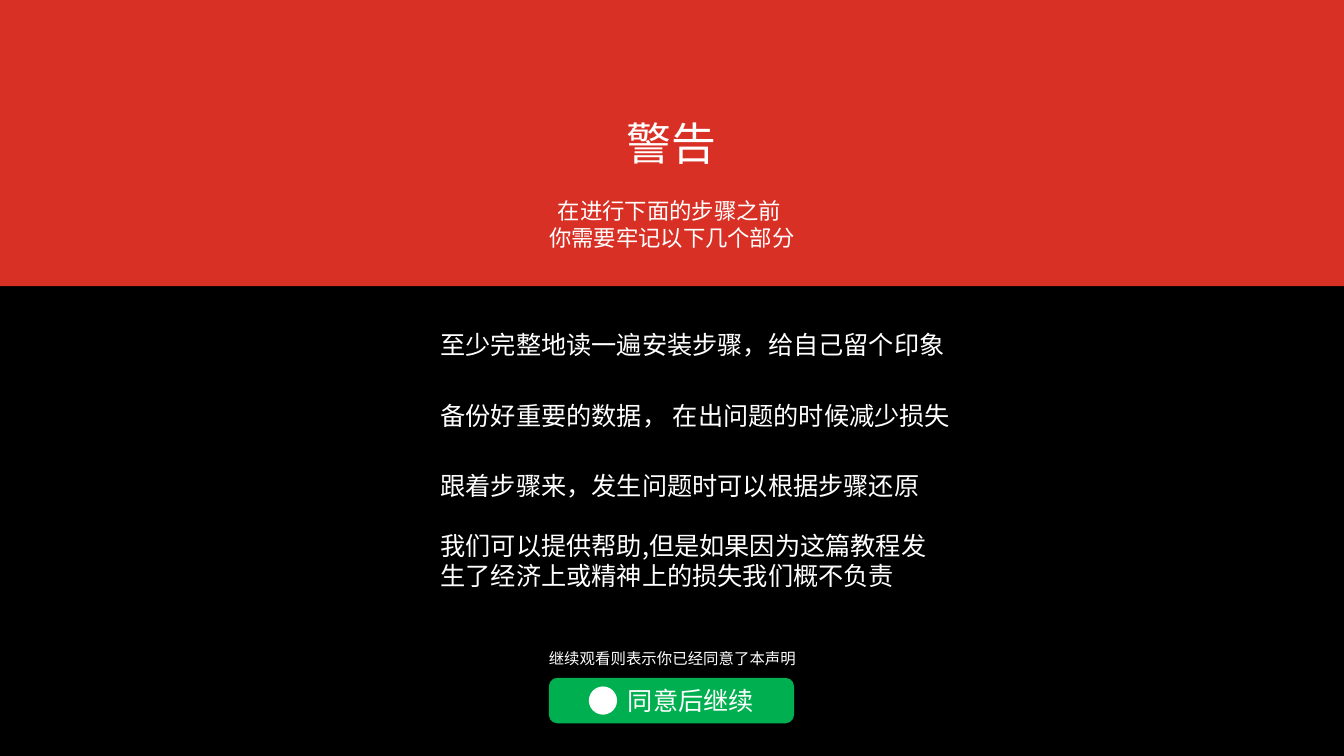
from math import cos, radians, sin

from lxml import etree
from pptx import Presentation
from pptx.dml.color import RGBColor
from pptx.enum import shapes, text
from pptx.oxml import ns
from pptx.util import Inches, Pt

RED = RGBColor(0xD9, 0x30, 0x25)
GREEN = RGBColor(0x00, 0xB0, 0x50)
WHITE = RGBColor(0xFF, 0xFF, 0xFF)
BLACK = RGBColor(0x00, 0x00, 0x00)
FONT = "Noto Sans CJK SC"
MID, LEFT = text.PP_ALIGN.CENTER, text.PP_ALIGN.LEFT
KIND = shapes.MSO_SHAPE


def paint(shape, fill):
    shape.shadow.inherit = False
    shape.fill.solid()
    shape.fill.fore_color.rgb = fill
    shape.line.fill.background()


def block(slide, kind, box, fill):
    shape = slide.shapes.add_shape(kind, *map(Inches, box))
    paint(shape, fill)
    return shape


def write(slide, box, lines, size, align=LEFT):
    frame = slide.shapes.add_textbox(*map(Inches, box)).text_frame
    frame.word_wrap = True
    for n, line in enumerate(lines):
        para = frame.paragraphs[0] if n == 0 else frame.add_paragraph()
        para.alignment = align
        run = para.add_run()
        run.text = line
        for key, value in {"name": FONT, "size": Pt(size)}.items():
            setattr(run.font, key, value)
        run.font.color.rgb = WHITE
        # East Asian typeface
        face = etree.SubElement(run.font._element, ns.qn("a:ea"))
        face.set("typeface", FONT)


def banner(slide, x, y, w, h):
    block(slide, KIND.RECTANGLE, (x, y, w, h), RED)
    axis = x + w / 2
    write(slide, (axis - 0.62, y + 1.1, 1.23, 0.64), ["警告"], 32, MID)
    write(slide, (axis - 1.49, y + 1.91, 2.98, 0.64),
          ["在进行下面的步骤之前 ", "你需要牢记以下几个部分"], 16, MID)


def rules(slide, x, y, w):
    step = 0.7
    items = ["至少完整地读一遍安装步骤，给自己留个印象",
             "备份好重要的数据， 在出问题的时候减少损失",
             "跟着步骤来，发生问题时可以根据步骤还原"]
    for n, item in enumerate(items):
        write(slide, (x, y + n * step, w, 0.4), [item], 18)
    last = "我们可以提供帮助,但是如果因为这篇教程发生了经济上或精神上的损失我们概不负责"
    write(slide, (x, y + 1.99, 5.26, 0.71), [last], 18)


def icon(slide, x, y, d):
    block(slide, KIND.OVAL, (x, y, d, d), WHITE)
    # Curved arrow: outer arc, head, inner arc
    cx, cy = x + 0.13, y + 0.17

    def arc(r, angles):
        return [(cx + r * cos(radians(a)), cy - r * sin(radians(a)))
                for a in angles]

    head = [(0.07, -0.07), (0.09, -0.07), (0.09, 0), (0.02, 0), (0.02, -0.02)]
    points = arc(0.08, range(180, 29, -10))
    points += [(cx + dx, cy + dy) for dx, dy in head]
    points += arc(0.06, range(20, 181, 10))
    pen = slide.shapes.build_freeform(*points[0], scale=Inches(1))
    pen.add_line_segments(points[1:], close=True)
    paint(pen.convert_to_shape(), GREEN)


def button(slide, x, y, w, h):
    write(slide, (x - 0.24, y - 0.35, w + 0.5, 0.29),
          ["继续观看则表示你已经同意了本声明"], 11, MID)
    face = block(slide, KIND.ROUNDED_RECTANGLE, (x, y, w, h), GREEN)
    face.line.color.rgb = GREEN
    face.line.width = Pt(2.25)
    write(slide, (x + 0.67, y + 0.01, 1.6, 0.4), ["同意后继续"], 18)
    icon(slide, x + 0.38, y + 0.07, 0.28)


def main():
    deck = Presentation()
    deck.slide_width, deck.slide_height = Inches(13.33), Inches(7.5)
    slide = deck.slides.add_slide(deck.slide_layouts[6])
    slide.background.fill.solid()
    slide.background.fill.fore_color.rgb = BLACK
    banner(slide, 0, 0, 13.33, 2.84)
    rules(slide, 4.27, 3.22, 6.7)
    button(slide, 5.46, 6.74, 2.4, 0.42)
    deck.save("out.pptx")


if __name__ == "__main__":
    main()
